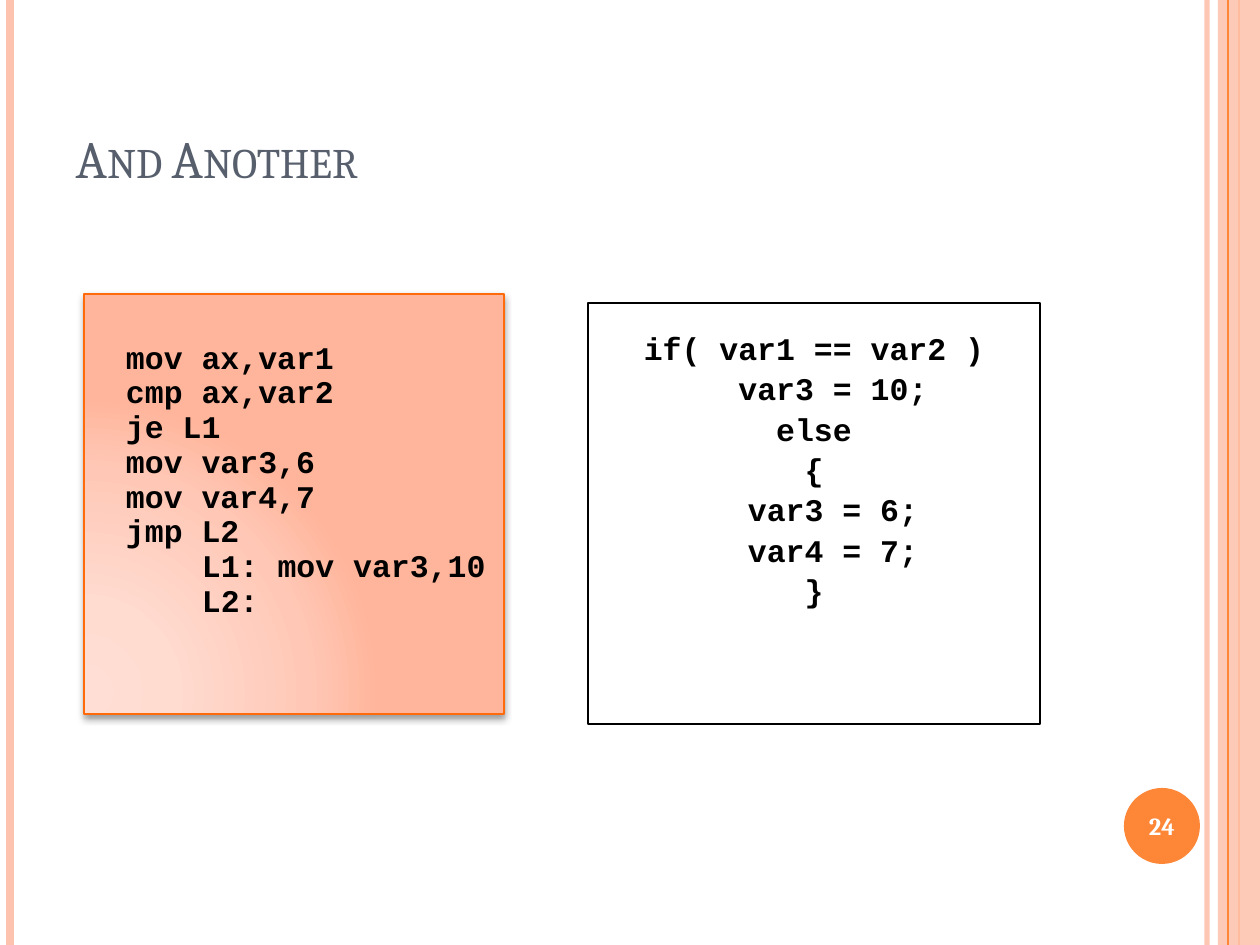
from lxml.etree import SubElement
from pptx import Presentation
from pptx.dml.color import RGBColor
from pptx.enum.shapes import MSO_CONNECTOR as Connector, MSO_SHAPE as Shape
from pptx.enum.text import MSO_ANCHOR as Anchor, PP_ALIGN as Align
from pptx.oxml import parse_xml
from pptx.oxml.ns import nsdecls, qn
from pptx.util import Pt

TITLE = "And Another"
PAGE = "24"
ASSEMBLY = [
    ("mov ax,var1", 50), ("cmp ax,var2", 50), ("je L1", 50), ("mov var3,6", 50),
    ("mov var4,7", 50), ("jmp L2", 50), ("L1: mov var3,10", 126), ("L2:", 126),
]
C_CODE = [
    ("if( var1 == var2 )", 0), ("var3 = 10;", 38), ("else", 0), ("{", 0),
    ("var3 = 6;", 38), ("var4 = 7;", 38), ("}", 0),
]
STRIPES = [
    (1207, "FEC3AE", 3, 93), (10, "FEC3AE", 4.5, 100), (1239, "FE8637", 1.5, 100),
]
THIN_STRIPE = (1228, "FE8637", 0.75, 100)
GLOW = [(0, "FFDED5"), (30, "FFDBD0"), (75, "FFC8B6"), (100, "FFB59B")]
WIDTH, HEIGHT = 1260, 945


def px(n):
    return round(n * 914400 / 126)


def paint(color_format, color):
    color_format.rgb = RGBColor.from_string(color)


def fade(element, percent):
    if percent < 100:
        color = next(element.iter(qn("a:srgbClr")))
        SubElement(color, qn("a:alpha")).set("val", str(percent * 1000))


def add_stripe(slide, x, color, weight, opacity):
    stripe = slide.shapes.add_connector(Connector.STRAIGHT, px(x), 0, px(x), px(HEIGHT))
    paint(stripe.line.color, color)
    stripe.line.width = Pt(weight)
    fade(stripe.line._ln, opacity)
    SubElement(stripe._element.spPr, qn("a:effectLst"))


def add_block(slide, kind, box, color=None, opacity=100):
    block = slide.shapes.add_shape(kind, *map(px, box))
    block.shadow.inherit = False
    block.line.fill.background()
    if color:
        block.fill.solid()
        paint(block.fill.fore_color, color)
        fade(block._element.spPr, opacity)
    else:
        block.fill.background()
    return block


def outline(block, color, weight):
    paint(block.line.color, color)
    block.line.width = Pt(weight)


def style(font, name, size, color, bold):
    font.name, font.size, font.bold = name, Pt(size), bold
    paint(font.color, color)


def add_glow(panel):
    stops = "".join(
        f'<a:gs pos="{at * 1000}"><a:srgbClr val="{color}"/></a:gs>' for at, color in GLOW)
    gradient = parse_xml(
        f'<a:gradFill {nsdecls("a")} rotWithShape="1"><a:gsLst>{stops}</a:gsLst>'
        '<a:path path="circle"><a:fillToRect l="5000" t="100000" r="120000" b="10000"/>'
        '</a:path></a:gradFill>')
    properties = panel._element.spPr
    properties.replace(properties.find(qn("a:noFill")), gradient)
    shadow = SubElement(properties.find(qn("a:effectLst")), qn("a:outerShdw"),
                        blurRad=str(Pt(4)), dist=str(Pt(2)), dir="5400000", rotWithShape="0")
    SubElement(shadow, qn("a:srgbClr"), val="000000")
    fade(shadow, 40)


def write_code(box, lines, align, pitch, side, top):
    frame = box.text_frame
    frame.word_wrap = True
    frame.vertical_anchor = Anchor.TOP
    frame.margin_left = frame.margin_right = px(side)
    frame.margin_top = px(top)
    frame.text = "\n".join(text for text, _ in lines)
    for paragraph, (_, indent) in zip(frame.paragraphs, lines):
        paragraph.alignment = align
        paragraph.line_spacing = Pt(pitch)
        paragraph._p.get_or_add_pPr().set("marL", str(px(indent)))
        style(paragraph.font, "Courier New", 18, "000000", True)


def main():
    deck = Presentation()
    deck.slide_width, deck.slide_height = px(WIDTH), px(HEIGHT)
    slide = deck.slides.add_slide(deck.slide_layouts[5])

    for stripe in STRIPES:
        add_stripe(slide, *stripe)
    add_block(slide, Shape.RECTANGLE, (1218, 0, 42, HEIGHT), "FEC3AE", 87)
    add_stripe(slide, *THIN_STRIPE)

    badge = add_block(slide, Shape.OVAL, (1124, 788, 76, 76), "FE8637")
    frame = badge.text_frame
    frame.margin_left = frame.margin_right = 0
    frame.vertical_anchor = Anchor.MIDDLE
    frame.text = PAGE
    frame.paragraphs[0].alignment = Align.CENTER
    style(frame.paragraphs[0].font, "Cambria", 14, "FFFFFF", True)

    panel = add_block(slide, Shape.RECTANGLE, (84, 294, 420, 420))
    outline(panel, "FF6B0A", 1)
    add_glow(panel)

    title = slide.shapes.title
    title.left, title.top, title.width, title.height = map(px, (63, 38, 1029, 157))
    title.text_frame.text = TITLE
    title.text_frame.vertical_anchor = Anchor.BOTTOM
    heading = title.text_frame.paragraphs[0]
    heading.alignment = Align.LEFT
    style(heading.font, "Cambria", 30, "575F6D", False)
    heading.runs[0].font._element.set("cap", "small")

    assembly = slide.shapes.add_textbox(*map(px, (63, 220, 504, 630)))
    write_code(assembly, ASSEMBLY, Align.LEFT, 19.8, 13, 121)

    c_box = add_block(slide, Shape.RECTANGLE, (588, 303, 452, 421))
    outline(c_box, "000000", 0.75)
    write_code(c_box, C_CODE, Align.CENTER, 23.1, 19, 23)

    deck.save("out.pptx")


if __name__ == "__main__":
    main()
